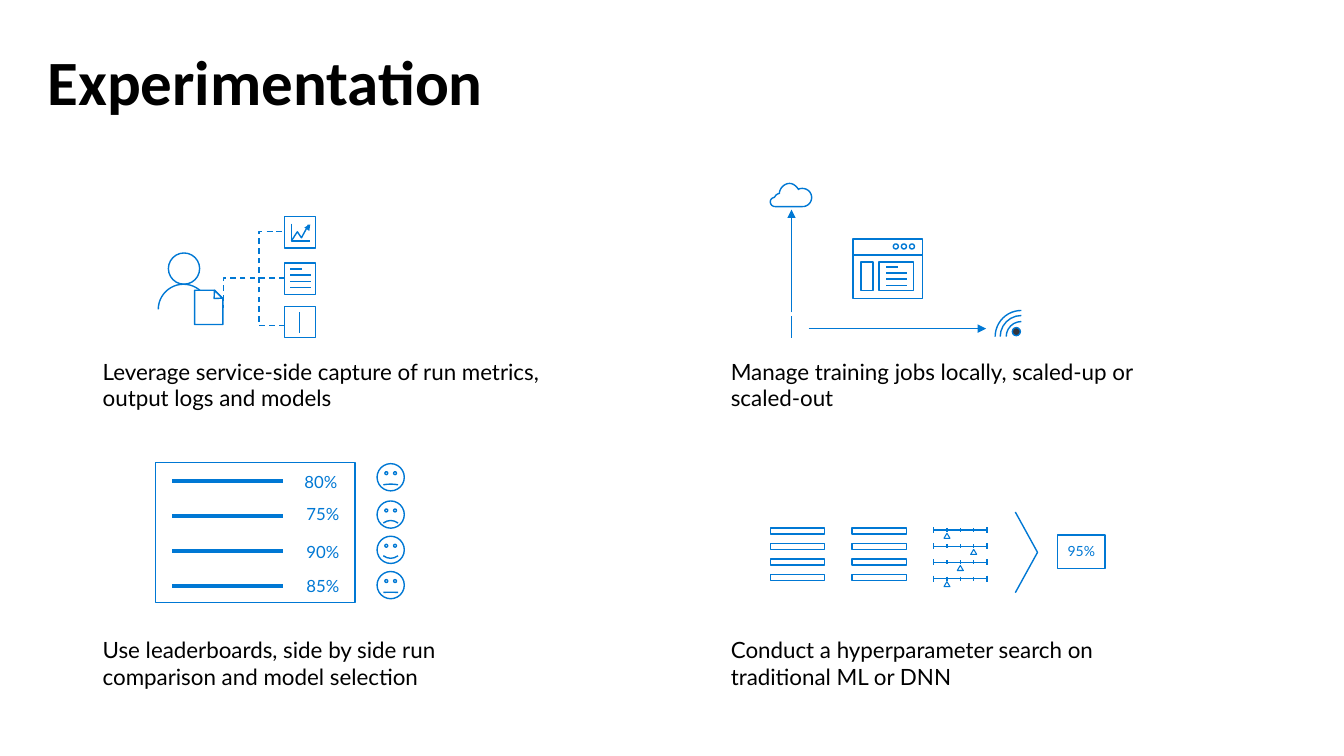
from dataclasses import dataclass

from lxml import etree
from pptx import Presentation
from pptx import util as u
from pptx.dml.color import RGBColor
from pptx.enum import dml, shapes, text
from pptx.oxml.ns import qn

Inches = u.Inches
Kind = shapes.MSO_SHAPE


@dataclass(frozen=True)
class Theme:
    ink: str = "000000"
    paper: str = "FFFFFF"
    accent: str = "0078D4"
    core: str = "34343B"
    title_font: str = "Calibri"
    body_font: str = "Lato"
    title_size: float = 45
    caption_size: float = 16
    score_size: float = 12
    result_size: float = 10


class Deck:
    def __init__(self, theme):
        self.theme = theme
        self.presentation = Presentation()
        self.presentation.slide_width = Inches(13.33)
        self.presentation.slide_height = Inches(7.5)
        self.slide = self.presentation.slides.add_slide(self.presentation.slide_layouts[5])
        self.canvas = self.slide.shapes

    def start_icon(self):
        """Put the following elements in a new group."""
        self.canvas = self.slide.shapes.add_group_shape().shapes

    def style_line(self, line, width=1, dashed=False):
        line.color.rgb = RGBColor.from_string(self.theme.accent)
        line.width = u.Pt(width)
        if dashed:
            line.dash_style = dml.MSO_LINE.DASH

    def set_text(self, shape, wording, size, color, font=None, bold=False, spacing=None,
                 align=text.PP_ALIGN.LEFT, anchor=text.MSO_ANCHOR.TOP,
                 insets=(0.1, 0.05, 0.1, 0.05)):
        frame = shape.text_frame
        frame.word_wrap = True
        frame.auto_size = text.MSO_AUTO_SIZE.NONE
        frame.vertical_anchor = anchor
        (frame.margin_left, frame.margin_top,
         frame.margin_right, frame.margin_bottom) = map(Inches, insets)
        frame.text = wording
        paragraph = frame.paragraphs[0]
        paragraph.alignment = align
        paragraph.line_spacing = spacing
        paragraph.font.name = font or self.theme.body_font
        paragraph.font.size = u.Pt(size)
        paragraph.font.bold = bold
        paragraph.font.color.rgb = RGBColor.from_string(color)

    def title(self, wording, left, top, width, height):
        shape = self.slide.shapes.title
        shape.left, shape.top, shape.width, shape.height = map(Inches, (left, top, width, height))
        self.set_text(shape, wording, self.theme.title_size, self.theme.ink, self.theme.title_font,
                      bold=True, spacing=0.9, insets=(0, 0.18, 0, 0))

    def label(self, wording, left, top, width, height, size, color, **options):
        shape = self.canvas.add_textbox(*map(Inches, (left, top, width, height)))
        self.set_text(shape, wording, size, color, **options)

    def shape(self, kind, left, top, width, height, fill=None, outline=1, dashed=False,
              rotation=0, adjust=()):
        shape = self.canvas.add_shape(kind, *map(Inches, (left, top, width, height)))
        shape.shadow.inherit = False
        shape.rotation = rotation
        for index, value in enumerate(adjust):
            shape.adjustments[index] = value
        if fill:
            shape.fill.solid()
            shape.fill.fore_color.rgb = RGBColor.from_string(fill)
        else:
            shape.fill.background()
        if outline:
            self.style_line(shape.line, outline, dashed)
        else:
            shape.line.fill.background()
        return shape

    def arc(self, center_x, center_y, radius, end):
        """Arc clockwise from nine o'clock; angles in units of 100000/60000 degrees."""
        self.shape(Kind.ARC, center_x - radius, center_y - radius, 2 * radius, 2 * radius,
                   adjust=(108, end))

    def line(self, x1, y1, x2, y2, width=1, arrow=False, dashed=False, elbow=None):
        kind = shapes.MSO_CONNECTOR.STRAIGHT if elbow is None else shapes.MSO_CONNECTOR.ELBOW
        connector = self.canvas.add_connector(kind, *map(Inches, (x1, y1, x2, y2)))
        self.style_line(connector.line, width, dashed)
        properties = connector._element.spPr
        if arrow:
            etree.SubElement(properties.find(qn("a:ln")), qn("a:tailEnd"), type="triangle")
        if elbow is not None:
            guides = properties.find(qn("a:prstGeom")).find(qn("a:avLst"))
            etree.SubElement(guides, qn("a:gd"), name="adj1", fmla=f"val {round(elbow * 100000)}")
        etree.SubElement(properties, qn("a:effectLst"))

    def outline(self, points, close=False):
        start, *rest = [tuple(map(Inches, point)) for point in points]
        builder = self.canvas.build_freeform(*start)
        builder.add_line_segments(rest, close=close)
        shape = builder.convert_to_shape()
        shape.shadow.inherit = False
        shape.fill.background()
        self.style_line(shape.line)

    def curved_outline(self, start, curves, steps=10):
        """Closed outline through cubic curves (control, control, end)."""
        points = [start]
        for curve in curves:
            corners = (points[-1], *curve)
            for step in range(1, steps + 1):
                t = step / steps
                weights = ((1 - t) ** 3, 3 * t * (1 - t) ** 2, 3 * t * t * (1 - t), t ** 3)
                points.append(tuple(sum(w * corner[axis] for w, corner in zip(weights, corners))
                                    for axis in (0, 1)))
        self.outline(points, close=True)


def draw_text_lines(deck, left, top, first_width, width):
    for row in range(4):
        y = top + 0.06 * row
        deck.line(left, y, left + (width if row else first_width), y)


def draw_capture(deck):
    theme = deck.theme
    deck.start_icon()
    # Person with a document
    deck.shape(Kind.OVAL, 1.67, 2.51, 0.31, 0.31)
    deck.arc(1.82, 3.07, 0.25, end=0)
    deck.shape(Kind.SNIP_1_RECTANGLE, 1.93, 2.88, 0.28, 0.34, theme.paper, adjust=(0.287,))
    deck.shape(Kind.ISOSCELES_TRIANGLE, 2.09, 2.91, 0.11, 0.06, theme.paper, rotation=225)
    # Outputs: metrics, logs and models
    for top in (2.15, 2.61, 3.04):
        deck.shape(Kind.RECTANGLE, 2.82, top, 0.31, 0.31)
    deck.outline([(2.89, 2.22), (2.89, 2.39), (3.07, 2.39)])
    deck.outline([(2.89, 2.39), (2.95, 2.3), (2.99, 2.36), (3.06, 2.23)])
    deck.shape(Kind.ISOSCELES_TRIANGLE, 3.03, 2.22, 0.06, 0.06, theme.accent, outline=0, rotation=34.9)
    draw_text_lines(deck, 2.88, 2.67, 0.12, 0.2)
    deck.line(2.97, 3.1, 2.97, 3.3)
    # Dashed links
    deck.shape(Kind.LEFT_BRACKET, 2.57, 2.3, 0.25, 0.93, dashed=True, adjust=(0,))
    deck.line(2.82, 2.76, 2.21, 3.05, dashed=True, elbow=0.99)


def draw_scaling(deck):
    deck.start_icon()
    # Scale-up and scale-out arrows
    deck.line(7.85, 3.1, 7.85, 2.08, arrow=True)
    deck.line(8.02, 3.26, 9.78, 3.26, arrow=True)
    deck.line(7.85, 3.14, 7.85, 3.35)
    # Local window
    deck.shape(Kind.RECTANGLE, 8.46, 2.37, 0.69, 0.59)
    deck.line(9.15, 2.53, 8.46, 2.53)
    for button in range(3):
        deck.shape(Kind.OVAL, 8.86 + 0.08 * button, 2.42, 0.05, 0.05)
    draw_text_lines(deck, 8.79, 2.65, 0.12, 0.21)
    deck.shape(Kind.RECTANGLE, 8.72, 2.6, 0.34, 0.28)
    deck.shape(Kind.RECTANGLE, 8.54, 2.6, 0.12, 0.28)
    # Cloud
    deck.curved_outline((7.96, 2.05), [
        ((7.69, 2.05), (7.69, 2.05), (7.69, 2.05)), ((7.66, 2.05), (7.64, 2.03), (7.64, 2)),
        ((7.64, 1.98), (7.66, 1.96), (7.68, 1.96)), ((7.69, 1.94), (7.71, 1.92), (7.73, 1.92)),
        ((7.73, 1.87), (7.78, 1.82), (7.83, 1.82)), ((7.87, 1.82), (7.9, 1.85), (7.92, 1.88)),
        ((7.93, 1.87), (7.94, 1.87), (7.96, 1.87)), ((8.01, 1.87), (8.05, 1.91), (8.05, 1.96)),
        ((8.05, 2.01), (8.01, 2.05), (7.96, 2.05))])
    # Signal
    for radius in (0.15, 0.21, 0.26):
        deck.arc(10.13, 3.34, radius, end=162)
    deck.shape(Kind.OVAL, 10.04, 3.25, 0.08, 0.08, deck.theme.core)


def draw_search(deck):
    theme = deck.theme
    deck.start_icon()
    # Two columns of bars, then sliders with a knob below one tick
    for row, knob in enumerate((1, 3, 2, 1)):
        for left in (7.64, 8.45):
            deck.shape(Kind.RECTANGLE, left, 5.24 + 0.46 / 3 * row, 0.54, 0.06)
        y = 5.26 + 0.16 * row
        deck.line(9.26, y, 9.8, y)
        for tick in range(5):
            x = 9.26 + 0.53 / 4 * tick
            reach = 0.03 if tick in (0, 4) else 0.02
            deck.line(x, y - reach, x, y + reach)
            if tick == knob:
                deck.shape(Kind.ISOSCELES_TRIANGLE, x - 0.03, y + 0.03, 0.06, 0.05, outline=0.75)
    # Result
    deck.outline([(10.07, 5.08), (10.29, 5.48), (10.07, 5.88)])
    result = deck.shape(Kind.RECTANGLE, 10.49, 5.31, 0.47, 0.33)
    deck.set_text(result, "95%", theme.result_size, theme.accent, spacing=0.9,
                  align=text.PP_ALIGN.CENTER, anchor=text.MSO_ANCHOR.MIDDLE)


def draw_leaderboard(deck):
    theme = deck.theme
    deck.start_icon()
    deck.shape(Kind.RECTANGLE, 1.54, 4.59, 1.98, 1.39)
    # Score, its place, face top and curve of the mouth
    runs = [("80%", 3.02, 4.7, 4.6, -0.013), ("75%", 3.04, 5.02, 4.97, -0.047),
            ("90%", 3.04, 5.4, 5.32, 0.047), ("85%", 3.04, 5.73, 5.67, -0.003)]
    for row, (score, left, top, face_top, mouth) in enumerate(runs):
        y = 4.77 + 1.04 / 3 * row
        deck.line(1.71, y, 2.81, y, width=3)
        deck.label(score, left, top, 0.64, 0.16, theme.score_size, theme.accent,
                   spacing=0.9, insets=(0, 0, 0, 0))
        deck.shape(Kind.SMILEY_FACE, 3.74, face_top, 0.27, 0.27, adjust=(mouth,))


def main():
    deck = Deck(Theme())
    deck.title("Experimentation", 0.47, 0.33, 12.4, 0.83)
    # Captions
    captions = [("Leverage service-side capture of run metrics, output logs and models",
                 "Manage training jobs locally, scaled-up or scaled-out"),
                ("Use leaderboards, side by side run comparison and model selection",
                 "Conduct a hyperparameter search on traditional ML or DNN")]
    for top, row in zip((3.5, 6.26), captions):
        for left, wording in zip((0.92, 7.15), row):
            deck.label(wording, left, top, 4.61, 0.63, deck.theme.caption_size, deck.theme.ink)
    # Icons
    for draw in (draw_capture, draw_scaling, draw_search, draw_leaderboard):
        draw(deck)
    deck.presentation.save("out.pptx")


if __name__ == "__main__":
    main()
